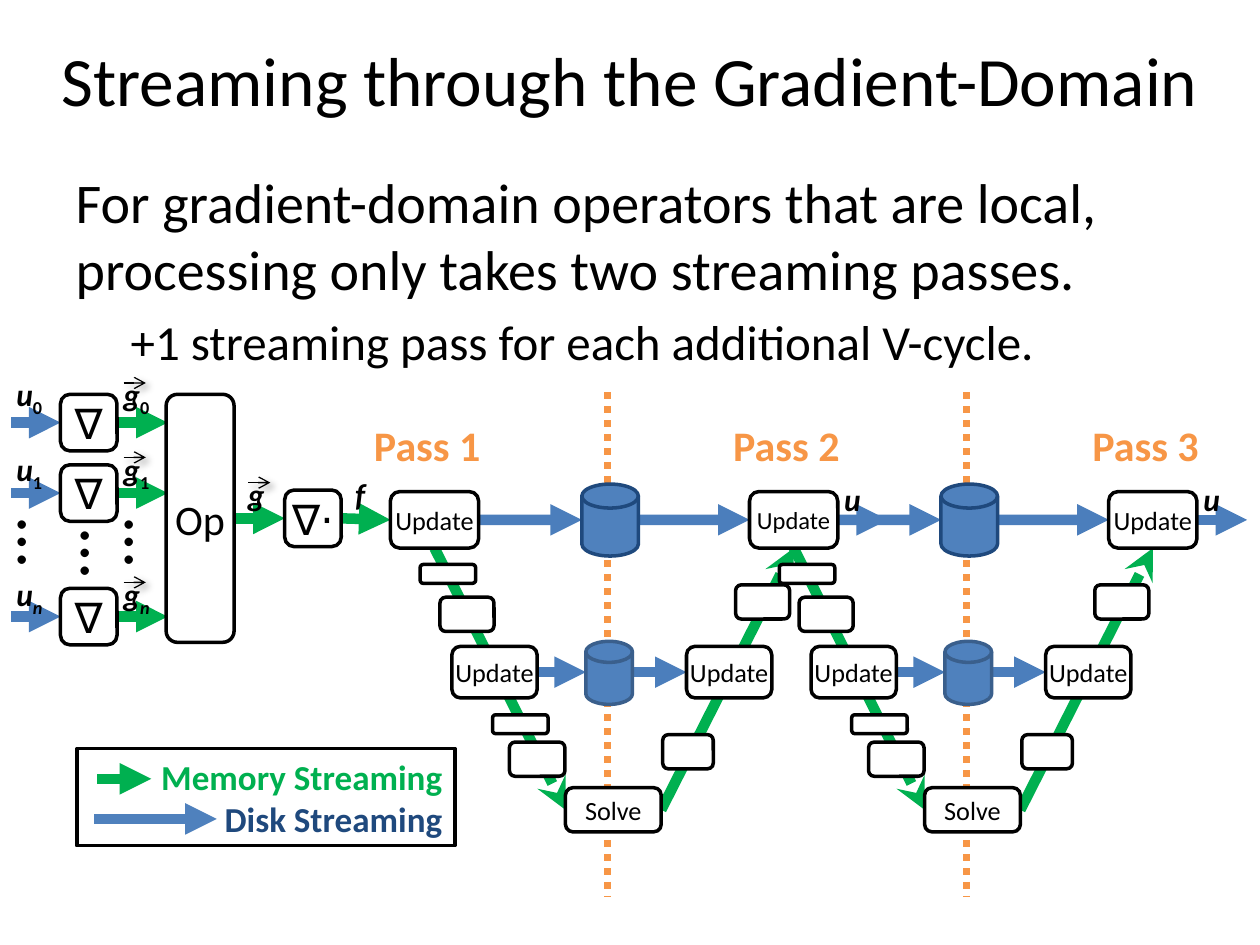
from lxml import etree
from pptx import Presentation
from pptx import util as u
from pptx.dml.color import RGBColor
from pptx.enum import dml, shapes, text
from pptx.oxml import parse_xml
from pptx.oxml.ns import nsdecls, qn

COLORS = {"black": "000000", "white": "FFFFFF", "memory": "00B050", "disk": "4B7EBC",
          "cylinder": "4F81BD", "navy": "1F497D", "steel": "3A5F8C", "pass": "F79646"}
TOP, LEFT, BOTTOM, RIGHT = range(4)
FONT = "Calibri"
CYCLE_WIDTH = 7.24


def color(name):
    """Return the named colour."""
    return RGBColor.from_string(COLORS[name])


def set_font(font, size, name="black", bold=None, italic=None):
    """Set typeface, size, colour and style."""
    font.name, font.size, font.bold, font.italic = FONT, u.Pt(size), bold, italic
    font.color.rgb = color(name)


def add_node(slide, left, top, width, height, label="", size=15,
             kind=shapes.MSO_SHAPE.ROUNDED_RECTANGLE, fill="white", outline="black"):
    """Add an outlined shape with an optional centred label."""
    shape = slide.shapes.add_shape(kind, *map(u.Cm, (left, top, width, height)))
    shape.shadow.inherit = False
    shape.fill.solid()
    shape.fill.fore_color.rgb = color(fill)
    shape.line.color.rgb = color(outline)
    shape.line.width = u.Pt(2)
    if label:
        frame = shape.text_frame
        frame.margin_left = frame.margin_right = frame.margin_top = frame.margin_bottom = 0
        frame.vertical_anchor = text.MSO_ANCHOR.MIDDLE
        paragraph = frame.paragraphs[0]
        paragraph.text = label
        paragraph.alignment = text.PP_ALIGN.CENTER
        set_font(paragraph.font, size)
    return shape


def add_disk(slide, left, top, width, height, outline):
    """Add a storage cylinder."""
    return add_node(slide, left, top, width, height, outline=outline, fill="cylinder",
                    kind=shapes.MSO_SHAPE.FLOWCHART_MAGNETIC_DISK)


def add_line(slide, start, end, name, width=6, head=None, tail=None, dash=None,
             shadow=False, behind=True):
    """Add a line between two ends, each a point or a (shape, side) pair."""
    points = [(0, 0) if hasattr(a, "shape_id") else (u.Cm(a), u.Cm(b))
              for a, b in (start, end)]
    line = slide.shapes.add_connector(shapes.MSO_CONNECTOR.STRAIGHT, *points[0], *points[1])
    for (target, side), join in ((start, line.begin_connect), (end, line.end_connect)):
        if hasattr(target, "shape_id"):
            join(target, side)
    line.line.color.rgb = color(name)
    line.line.width = u.Pt(width)
    if dash:
        line.line.dash_style = dash
    properties = line._element.spPr
    outline = properties.find(qn("a:ln"))
    for tag, kind in (("a:headEnd", head), ("a:tailEnd", tail)):
        if kind:
            etree.SubElement(outline, qn(tag), type=kind)
    effect = ('<a:outerShdw blurRad="50800" dist="38100" dir="2700000"><a:srgbClr '
              'val="000000"><a:alpha val="40000"/></a:srgbClr></a:outerShdw>') if shadow else ""
    properties.append(parse_xml(f'<a:effectLst {nsdecls("a")}>{effect}</a:effectLst>'))
    if behind:
        slide.shapes._spTree.insert(2, line._element)


def add_label(slide, left, top, width, height, label, size=18, name="black",
              bold=True, italic=None, subscript="", rotation=0):
    """Add a one-line text box with an optional subscript."""
    box = slide.shapes.add_textbox(*map(u.Cm, (left, top, width, height)))
    box.rotation = rotation
    box.text_frame.word_wrap = False
    box.text_frame.auto_size = text.MSO_AUTO_SIZE.SHAPE_TO_FIT_TEXT
    paragraph = box.text_frame.paragraphs[0]
    paragraph.add_run().text = label
    set_font(paragraph.font, size, name, bold, italic)
    if subscript:
        run = paragraph.add_run()
        run.text = subscript
        run.font.italic = not subscript.isdigit()
        run.font._element.set("baseline", "-25000")


def add_vector(slide, left, top, width, subscript=""):
    """Add the gradient symbol g with an arrow above it."""
    add_label(slide, left, top, width, 1.02, "g", italic=True, subscript=subscript)
    add_line(slide, (left + 0.25, top + 0.28), (left + 0.7, top + 0.28), "black", 0.75,
             tail="arrow", shadow=True)


def add_heading(slide):
    """Fill the title and body placeholders."""
    title, body = slide.placeholders
    for shape, box in ((title, (0, 0, 25.4, 3.18)), (body, (1.27, 3.25, 22.86, 12.57))):
        shape.left, shape.top, shape.width, shape.height = map(u.Cm, box)
        shape.text_frame.auto_size = text.MSO_AUTO_SIZE.NONE
    title.text_frame.text = "Streaming through the Gradient-Domain"
    set_font(title.text_frame.paragraphs[0].font, 39.6)
    body.text_frame.text = ("For gradient-domain operators that are local, processing only "
                            "takes two streaming passes.\n"
                            "+1 streaming pass for each additional V-cycle.")
    for level, (paragraph, size) in enumerate(zip(body.text_frame.paragraphs, (32, 28))):
        paragraph.level = level
        if level == 0:
            paragraph.space_before = u.Pt(0)
        properties = paragraph._p.get_or_add_pPr()
        properties.set("marL", str(u.Cm(1.11 * level)))
        properties.set("indent", "0")
        etree.SubElement(properties, qn("a:buNone"))
        set_font(paragraph.font, size)


def add_operators(slide, left, top, update):
    """Draw the gradient inputs and the operator that feed the first update."""
    operator = add_node(slide, left + 3.35, top + 0.51, 1.37, 5, "Op", 24)
    divergence = add_node(slide, left + 5.74, top + 2.44, 1.14, 1.14, "∇⋅", 24)
    for subscript, node_top, label_top in (("0", 0.51, 0), ("1", 1.93, 1.5), ("n", 4.42, 4.02)):
        node = add_node(slide, left + 1.22, top + node_top, 1.14, 1.14, "∇", 24)
        middle = top + node_top + 0.57
        add_line(slide, (left + 0.23, middle), (node, LEFT), "disk", tail="triangle")
        add_line(slide, (node, RIGHT), (left + 3.38, middle), "memory", tail="triangle")
        add_label(slide, left + 0.08, top + label_top, 1.07, 1.02, "u", italic=True,
                  subscript=subscript)
        add_vector(slide, left + 2.24, top + label_top, 1.07, subscript)
    for dots_left, dots_top in ((0.18, 2.54), (1.45, 2.75), (2.34, 2.54)):
        add_label(slide, left + dots_left, top + dots_top, 1.5, 1.96, "…", 40,
                  bold=None, rotation=90)
    add_vector(slide, left + 4.75, top + 2.01, 0.86)
    add_label(slide, left + 6.91, top + 2.01, 0.71, 1.02, "f", italic=True)
    add_line(slide, (operator, RIGHT), (divergence, LEFT), "memory", tail="triangle")
    add_line(slide, (divergence, RIGHT), (update, LEFT), "memory", tail="triangle")


def add_peak(slide, left, top, number):
    """Draw the top-level update of a pass and, after the first, its output."""
    update = add_node(slide, left, top, 1.78, 1.14, "Update", 14 if number == 2 else 15)
    add_label(slide, left - 0.58, top - 1.58, 2.69, 1.27, f"Pass {number}", 24, "pass")
    if number > 1:
        add_label(slide, left + 1.66, top - 0.36, 0.86, 1.02, "u", italic=True)
        add_line(slide, (update, RIGHT), (left + 2.79, top + 0.57), "disk", tail="triangle")
    return update


def add_cycle(slide, left, top, first, last):
    """Draw one V-cycle between two top-level updates."""
    solve = add_node(slide, left + 3.53, top + 5.97, 1.93, 0.89, "Solve")
    for x, y, width, height in ((0.6, 1.47, 1.12, 0.38), (1, 2.13, 1.09, 0.69),
                                (2.06, 4.5, 1.12, 0.38), (2.4, 5.05, 1.12, 0.69),
                                (5.49, 4.9, 1.02, 0.69), (6.96, 1.88, 1.09, 0.69)):
        add_node(slide, left + x, top + y, width, height)
    descent, ascent = (add_node(slide, left + x, top + 3.12, 1.72, 1.04, "Update")
                       for x in (1.24, 5.97))
    add_disk(slide, left + 3.86, top - 0.15, 1.14, 1.45, "navy")
    add_disk(slide, left + 3.94, top + 3.02, 0.94, 1.27, "steel")
    for source, target, disk_left, disk_right, middle in (
            (first, last, 3.86, 5, 0.57), (descent, ascent, 3.94, 4.88, 3.64)):
        add_line(slide, (source, RIGHT), (left + disk_left, top + middle), "disk",
                 tail="triangle")
        add_line(slide, (left + disk_right, top + middle), (target, LEFT), "disk",
                 tail="triangle")
    add_line(slide, (solve, LEFT), (first, BOTTOM), "memory", head="stealth")
    add_line(slide, (last, BOTTOM), (solve, RIGHT), "memory", head="stealth")
    add_line(slide, (left + 4.38, top - 2), (left + 4.38, top + 8.16), "pass", 4,
             dash=dml.MSO_LINE.ROUND_DOT)


def add_legend(slide, left, top):
    """Draw the key to the two kinds of streaming."""
    box = add_node(slide, left, top, 7.62, 1.96, kind=shapes.MSO_SHAPE.RECTANGLE)
    frame = box.text_frame
    frame.text = "Memory Streaming\nDisk Streaming"
    for paragraph, name in zip(frame.paragraphs, ("memory", "navy")):
        paragraph.alignment = text.PP_ALIGN.RIGHT
        set_font(paragraph.font, 20, name, True)
    for start, end, y, name in ((0.41, 1.5, 0.61, "memory"), (0.35, 2.82, 1.42, "cylinder")):
        add_line(slide, (left + start, top + y), (left + end, top + y), name,
                 tail="triangle", behind=False)


def main():
    """Build and save the slide."""
    presentation = Presentation()
    presentation.slide_width, presentation.slide_height = u.Cm(25.4), u.Cm(19.05)
    slide = presentation.slides.add_slide(presentation.slide_layouts[1])
    add_heading(slide)
    left, top = 7.87, 9.91
    peaks = [add_peak(slide, left + CYCLE_WIDTH * i, top, i + 1) for i in range(3)]
    add_operators(slide, 0, 7.44, peaks[0])
    for i, (first, last) in enumerate(zip(peaks, peaks[1:])):
        add_cycle(slide, left + CYCLE_WIDTH * i, top, first, last)
    add_legend(slide, 1.55, 15.09)
    presentation.save("out.pptx")


if __name__ == "__main__":
    main()
